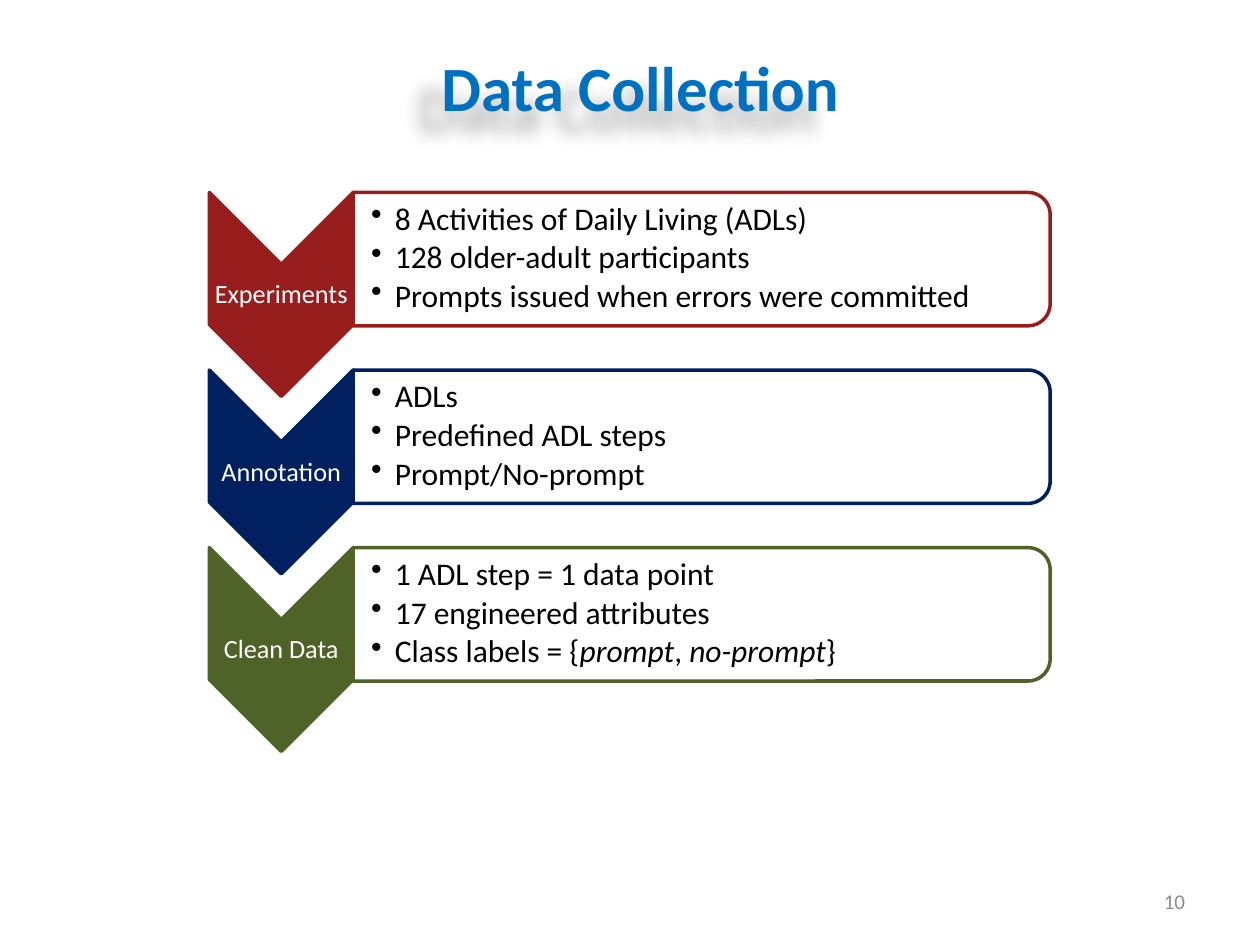
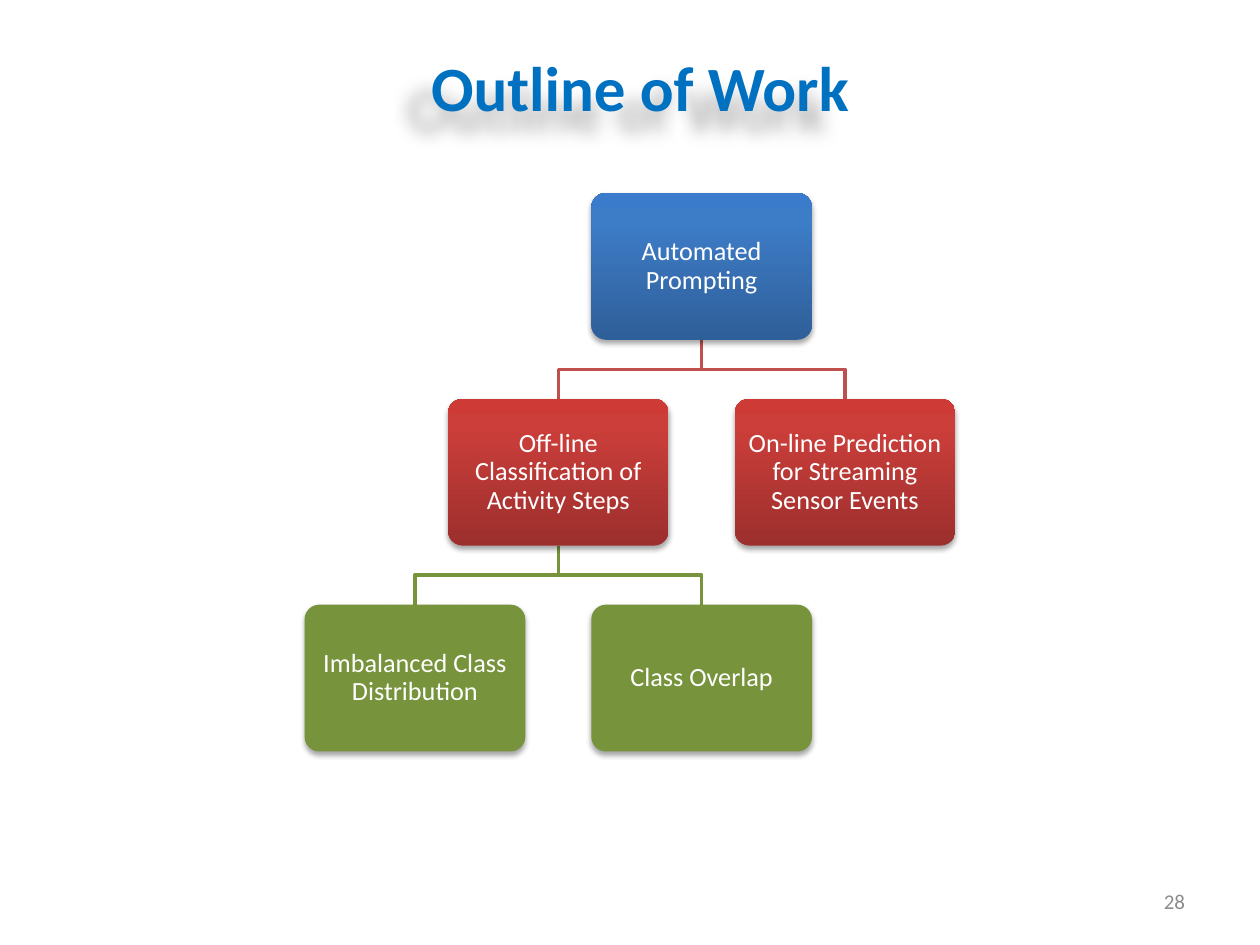
from copy import deepcopy

from lxml import etree
from pptx import Presentation
from pptx.dml.color import RGBColor
from pptx.enum.shapes import MSO_SHAPE
from pptx.enum.text import MSO_ANCHOR, PP_ALIGN
from pptx.oxml.ns import qn
from pptx.util import Cm, Pt

CHEVRON = MSO_SHAPE.CHEVRON
TWO_ROUNDED = MSO_SHAPE.ROUND_2_SAME_RECTANGLE
ROUNDED = MSO_SHAPE.ROUNDED_RECTANGLE
TOP, MIDDLE = MSO_ANCHOR.TOP, MSO_ANCHOR.MIDDLE
LEFT, CENTER, RIGHT = PP_ALIGN.LEFT, PP_ALIGN.CENTER, PP_ALIGN.RIGHT

FONT = "Calibri"
TITLE_BLUE, NUMBER_GREY, WHITE, BLACK = "0070C0", "8C8C8C", "FFFFFF", "000000"
DARK_RED, NAVY, DARK_GREEN = "981E1E", "002060", "4F6228"
RED, GREEN = "C0504D", "77933C"
BLUE_SHADES = ("2F5F99", "3D7CC7", "3A7CCB")
RED_SHADES = ("9C2F2D", "CB3E3A", "CE3B37")
SHADE_POSITIONS = (0, 0.8, 1)

STAGE_TOP, STAGE_STEP = 3.88, 3.58
CARD_WIDTH, CARD_HEIGHT = 4.45, 2.96
TREE_LEFT, TREE_TOP, COLUMN_STEP, ROW_STEP = 6.14, 3.89, 2.89, 4.15

STAGES = [
    ("Experiments", DARK_RED, ["8 Activities of Daily Living (ADLs)",
                               "128 older-adult participants",
                               "Prompts issued when errors were committed"]),
    ("Annotation", NAVY, ["ADLs", "Predefined ADL steps", "Prompt/No-prompt"]),
    ("Clean Data", DARK_GREEN, ["1 ADL step = 1 data point",
                                "17 engineered attributes",
                                "Class labels = {*prompt*, *no-prompt*}"]),
]
CARDS = [
    ("Automated Prompting", 2, 0, BLUE_SHADES),
    ("Off-line Classification of Activity Steps", 1, 1, RED_SHADES),
    ("On-line Prediction for Streaming Sensor Events", 3, 1, RED_SHADES),
    ("Imbalanced Class Distribution", 0, 2, GREEN),
    ("Class Overlap", 2, 2, GREEN),
]
BRANCHES = [(2, 0, 1, RED), (2, 0, 3, RED), (1, 1, 0, GREEN), (1, 1, 2, GREEN)]


def color(value):
    return RGBColor.from_string(value)


class SlideBuilder:
    """Draws styled elements on the current slide of a deck."""

    def __init__(self):
        self.deck = Presentation()
        self.deck.slide_width, self.deck.slide_height = Cm(25.4), Cm(19.05)
        self.page = None

    def new_page(self, title, number):
        self.page = self.deck.slides.add_slide(self.deck.slide_layouts[6])
        box = self.text_box((4.65, 0.84, 16.51, 1.8), [title], 36, TITLE_BLUE,
                            anchor=TOP, bold=True)
        self.cast_shadow(box, blur=10, distance=18, angle=140, opacity=30)
        self.text_box((18.21, 17.65, 5.93, 1.02), [str(number)], 12,
                      NUMBER_GREY, align=RIGHT)

    def set_text(self, shape, lines, size, ink, align=CENTER, anchor=MIDDLE,
                 margins=(0.25, 0.13, 0.25, 0.13), bold=False, spacing=None,
                 after=0, bulleted=False):
        frame = shape.text_frame
        frame.word_wrap = True
        frame.vertical_anchor = anchor
        (frame.margin_left, frame.margin_top,
         frame.margin_right, frame.margin_bottom) = map(Cm, margins)
        for index, line in enumerate(lines):
            para = frame.add_paragraph() if index else frame.paragraphs[0]
            para.alignment = align
            para.line_spacing = spacing
            para.space_after = Pt(after)
            para.font.name, para.font.size = FONT, Pt(size)
            para.font.bold = bold
            para.font.color.rgb = color(ink)
            for part, text in enumerate(line.split("*")):
                span = para.add_run()
                span.text = text
                if part % 2:
                    span.font.italic = True
            if bulleted:
                self.add_bullet(para)

    def add_bullet(self, para):
        indent = Cm(0.48)
        properties = para._p.get_or_add_pPr()
        properties.set("marL", str(indent))
        properties.set("indent", str(-indent))
        bullet = etree.Element(qn("a:buChar"), char="•")
        properties.insert_element_before(bullet, "a:tabLst", "a:defRPr", "a:extLst")

    def text_box(self, place, lines, size, ink, **style):
        box = self.page.shapes.add_textbox(*map(Cm, place))
        self.set_text(box, lines, size, ink, **style)
        return box

    def cast_shadow(self, shape, blur, distance, angle, opacity):
        shape.shadow.inherit = False
        effects = shape.element.spPr.find(qn("a:effectLst"))
        shadow = etree.SubElement(
            effects, qn("a:outerShdw"), blurRad=str(Pt(blur)),
            dist=str(Pt(distance)), dir=str(angle * 60000), rotWithShape="0")
        tint = etree.SubElement(shadow, qn("a:srgbClr"), val=BLACK)
        etree.SubElement(tint, qn("a:alpha"), val=str(opacity * 1000))

    def turned_shape(self, kind, place, fill, outline):
        """Add a shape turned a quarter so that it covers the given place."""
        left, top, width, height = place
        shift = (width - height) / 2
        shape = self.page.shapes.add_shape(
            kind, Cm(left + shift), Cm(top - shift), Cm(height), Cm(width))
        shape.rotation = 90
        shape.shadow.inherit = False
        shape.fill.solid()
        shape.fill.fore_color.rgb = color(fill)
        shape.line.color.rgb = color(outline)
        shape.line.width = Pt(2)
        return shape

    def stage(self, row, label, tone, points):
        top = STAGE_TOP + row * STAGE_STEP
        self.turned_shape(CHEVRON, (4.22, top, 2.9, 4.11), tone, tone)
        self.text_box((4.22, top + 1.45, 2.9, 1.24), [label], 15, WHITE,
                      margins=(0.03,) * 4, spacing=0.9, after=5.25)
        panel = self.turned_shape(TWO_ROUNDED, (7.12, top, 14.05, 2.69), WHITE, tone)
        tint = panel.element.spPr.find(qn("a:solidFill"))[0]
        etree.SubElement(tint, qn("a:alpha"), val="90000")
        self.text_box((7.12, top + 0.13, 13.92, 2.41), points, 18, BLACK,
                      align=LEFT, margins=(0.36, 0.03, 0.03, 0.03),
                      spacing=0.9, after=2.7, bulleted=True)

    def card(self, label, column, row, fill):
        card = self.page.shapes.add_shape(
            ROUNDED, Cm(TREE_LEFT + column * COLUMN_STEP),
            Cm(TREE_TOP + row * ROW_STEP), Cm(CARD_WIDTH), Cm(CARD_HEIGHT))
        card.adjustments[0] = 0.1
        card.line.fill.background()
        if isinstance(fill, str):
            card.fill.solid()
            card.fill.fore_color.rgb = color(fill)
        else:
            self.shade(card, fill)
        self.cast_shadow(card, blur=3.1, distance=1.8, angle=90, opacity=35)
        self.set_text(card, [label], 15, WHITE, margins=(0.15,) * 4,
                      spacing=0.9, after=5.25)

    def shade(self, shape, shades):
        shape.fill.gradient()
        shape.fill.gradient_angle = 90
        stops = shape.element.spPr.find(qn("a:gradFill")).find(qn("a:gsLst"))
        stops.append(deepcopy(stops[-1]))
        for stop, position, shade in zip(shape.fill.gradient_stops,
                                         SHADE_POSITIONS, shades):
            stop.position = position
            stop.color.rgb = color(shade)

    def branch(self, parent_column, parent_row, child_column, tone):
        start, end = (Cm(TREE_LEFT + column * COLUMN_STEP + CARD_WIDTH / 2)
                      for column in (parent_column, child_column))
        row_top = TREE_TOP + parent_row * ROW_STEP
        top, bottom = Cm(row_top + CARD_HEIGHT), Cm(row_top + ROW_STEP)
        middle = (top + bottom) // 2
        outline = self.page.shapes.build_freeform(start, top)
        outline.add_line_segments(
            [(start, middle), (end, middle), (end, bottom)], close=False)
        line = outline.convert_to_shape()
        line.shadow.inherit = False
        line.fill.background()
        line.line.color.rgb = color(tone)
        line.line.width = Pt(2)


def main():
    builder = SlideBuilder()
    builder.new_page("Data Collection", 10)
    for row, stage in enumerate(STAGES):
        builder.stage(row, *stage)
    builder.new_page("Outline of Work", 28)
    for branch in BRANCHES:
        builder.branch(*branch)
    for card in CARDS:
        builder.card(*card)
    builder.deck.save("out.pptx")


if __name__ == "__main__":
    main()
